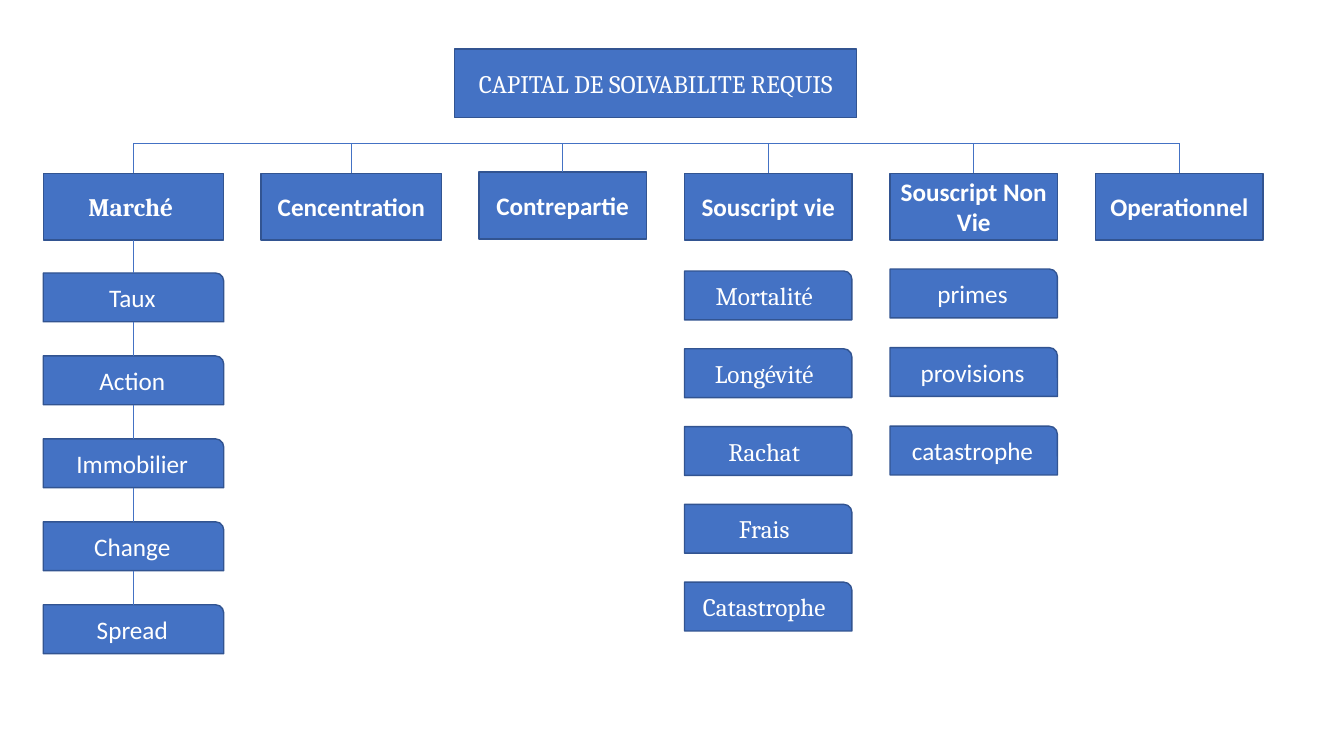
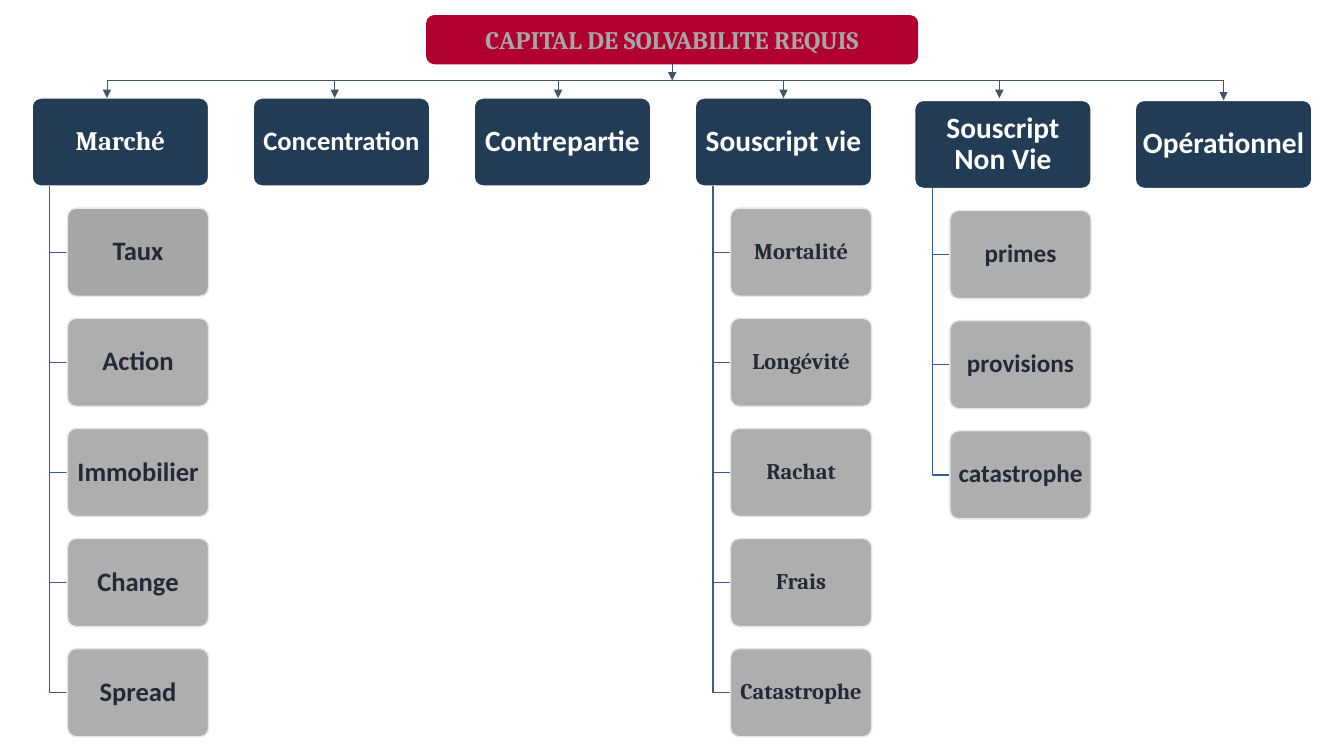
from dataclasses import dataclass

from lxml.etree import SubElement
from pptx import Presentation
from pptx.dml.color import RGBColor
from pptx.enum.shapes import MSO_CONNECTOR, MSO_SHAPE
from pptx.enum.text import MSO_ANCHOR, PP_ALIGN
from pptx.oxml.ns import qn
from pptx.util import Cm, Pt

TOP, BOTTOM = 0, 2  # connection sites


@dataclass(frozen=True)
class Theme:
    sans: str = "Calibri"
    serif: str = "Cambria"
    white: str = "FFFFFF"
    blue: str = "4472C4"
    blue_edge: str = "325491"
    navy: str = "223C55"
    red: str = "B0002F"
    grey: str = "A6A6A6"
    grey_edge: str = "E7E6E6"
    ink: str = "222A35"
    elbow: str = "365B9D"
    slate: str = "44546A"
    body: float = 18
    hair: float = 0.5
    edge: float = 1


T = Theme()
TITLE = "CAPITAL DE SOLVABILITE REQUIS"


@dataclass
class Column:
    """A risk module and its sub-risks; lengths in cm."""
    label: str
    x: float
    y: float
    items: tuple = ()
    font: str = T.sans
    size: float = T.body
    item_font: str = T.sans
    item_size: float = T.body
    w: float = 4.22
    item_y: float = 0
    pitch: float = 0
    chained: bool = False
    arrow_shift: float = 0
    solid_items: int = 0


TREE = [
    Column("Marché ", 1.09, 4.37, ("Taux", "Action", "Immobilier", "Change", "Spread"),
           font=T.serif, w=4.55, item_y=6.88, pitch=2.09, chained=True),
    Column("Cencentration", 6.58, 4.37, w=4.55),
    Column("Contrepartie", 12.07, 4.34),
    Column("Souscript vie", 17.25, 4.37,
           ("Mortalité ", "Longévité ", "Rachat ", "Frais ", "Catastrophe "),
           item_font=T.serif, item_y=6.83, pitch=1.96),
    Column("Souscript Non Vie", 22.43, 4.37, ("primes", "provisions", "catastrophe"),
           item_y=6.78, pitch=1.98),
    Column("Operationnel", 27.61, 4.37),
]

CARDS = [
    Column("Marché", 0.81, 2.47, ("Taux", "Action", "Immobilier", "Change", "Spread"),
           font=T.serif, size=19, item_size=19, arrow_shift=-0.34, solid_items=1),
    Column("Concentration", 6.38, 2.47, size=19, arrow_shift=-0.17),
    Column("Contrepartie", 11.95, 2.47, size=21, arrow_shift=-0.11),
    Column("Souscript vie", 17.52, 2.47,
           ("Mortalité", "Longévité", "Rachat", "Frais", "Catastrophe"),
           size=21, item_font=T.serif, item_size=16),
    Column("Souscript Non Vie", 23.05, 2.53, ("primes", "provisions", "catastrophe"),
           size=21, arrow_shift=-0.09),
    Column("Opérationnel", 28.61, 2.53, size=21),
]


def write(tf, text, *, font=T.sans, size=T.body, color=T.white, bold=False,
          pad=(0.25, 0.13), spacing=None):
    tf.word_wrap = True
    tf.vertical_anchor = MSO_ANCHOR.MIDDLE
    tf.margin_left = tf.margin_right = Cm(pad[0])
    tf.margin_top = tf.margin_bottom = Cm(pad[1])
    p = tf.paragraphs[0]
    p.alignment = PP_ALIGN.CENTER
    if spacing:
        p.line_spacing = spacing
    r = p.add_run()
    r.text = text
    r.font.name, r.font.size, r.font.bold = font, Pt(size), bold
    r.font.color.rgb = RGBColor.from_string(color)


def stroke(line, color, width):
    line.color.rgb = RGBColor.from_string(color)
    line.width = Pt(width)


def box(s, kind, text, x, y, w, h, *, fill, edge=None, alpha=100, radius=None, **fmt):
    """Add a filled shape with text; lengths in cm."""
    sp = s.shapes.add_shape(kind, Cm(x), Cm(y), Cm(w), Cm(h))
    sp.shadow.inherit = False
    sp.fill.solid()
    sp.fill.fore_color.rgb = RGBColor.from_string(fill)
    if alpha < 100:
        clr = sp.fill._xPr.find(qn("a:solidFill"))[0]
        SubElement(clr, qn("a:alpha"), val=str(alpha * 1000))
    if edge:
        stroke(sp.line, edge, T.edge)
    else:
        sp.line.fill.background()
    if radius:
        sp.adjustments[0] = radius
    write(sp.text_frame, text, **fmt)
    return sp


def wire(s, start, end, color, *, begin=None, finish=None, arrow=False):
    """Draw a line between points, joined to shapes begin (bottom) and finish (top)."""
    c = s.shapes.add_connector(MSO_CONNECTOR.STRAIGHT, *start, *end)
    if begin is not None:
        c.begin_connect(begin, BOTTOM)
    if finish is not None:
        c.end_connect(finish, TOP)
    stroke(c.line, color, T.hair)
    if arrow:
        SubElement(c.line._get_or_add_ln(), qn("a:tailEnd"), type="triangle")
    SubElement(c._element.spPr, qn("a:effectLst"))


def middle(sp):
    return sp.left + sp.width // 2


def link(s, upper, lower):
    wire(s, (middle(upper), upper.top + upper.height), (middle(lower), lower.top),
         T.blue, begin=upper, finish=lower)


def elbow(s, x, y, dx, dy):
    """Draw a line down by dy, then right by dx."""
    fb = s.shapes.build_freeform(Cm(x), Cm(y))
    fb.add_line_segments([(Cm(x), Cm(y + dy)), (Cm(x + dx), Cm(y + dy))], close=False)
    sp = fb.convert_to_shape()
    sp.shadow.inherit = False
    sp.fill.background()
    stroke(sp.line, T.elbow, T.edge)


def tree_column(s, col):
    """Place a header with its sub-risks below; return the header."""
    look = dict(fill=T.blue, edge=T.blue_edge)
    header = box(s, MSO_SHAPE.RECTANGLE, col.label, col.x, col.y, col.w, 1.68,
                 font=col.font, bold=True, **look)
    above = header
    for i, item in enumerate(col.items):
        sp = box(s, MSO_SHAPE.ROUND_1_RECTANGLE, item, col.x, col.item_y + i * col.pitch,
                 col.w, 1.23, font=col.item_font, **look)
        if col.chained:
            link(s, above, sp)
        above = sp
    return header


def card_column(s, col):
    """Place a card with indented sub-cards on elbows; return the card."""
    w, h, indent = 4.45, 2.22, 0.89
    pitch = 1.25 * h
    look = dict(radius=0.1, bold=True, spacing=0.9, pad=(0.1, 0.08))
    card = box(s, MSO_SHAPE.ROUNDED_RECTANGLE, col.label, col.x, col.y, w, h,
               fill=T.navy, edge=T.white, font=col.font, size=col.size, **look)
    for i, item in enumerate(col.items):
        y = col.y + (i + 1) * pitch
        elbow(s, col.x + indent / 2, col.y + h, indent / 2, y - col.y - h / 2)
        box(s, MSO_SHAPE.ROUNDED_RECTANGLE, item, col.x + indent, y, w - indent, h,
            fill=T.grey, edge=T.grey_edge, alpha=100 if i < col.solid_items else 90,
            font=col.item_font, size=col.item_size, color=T.ink, **look)
    return card


def tree_slide(s):
    bus = Cm(3.61)
    box(s, MSO_SHAPE.RECTANGLE, TITLE, 11.46, 1.24, 10.13, 1.73,
        fill=T.blue, edge=T.blue_edge, font=T.serif)
    headers = [tree_column(s, col) for col in TREE]
    wire(s, (middle(headers[0]), bus), (middle(headers[-1]), bus), T.blue)
    for header in headers:
        x = middle(header)
        wire(s, (x, bus), (x, header.top), T.blue, finish=header)


def card_slide(s):
    bus, tip = Cm(2.03), Cm(2.47)
    cards = [card_column(s, col) for col in CARDS]
    title = box(s, MSO_SHAPE.ROUNDED_RECTANGLE, TITLE, 10.74, 0.38, 12.4, 1.24,
                fill=T.red, font=T.serif, color=T.grey, bold=True)
    xs = [middle(card) + Cm(col.arrow_shift) for card, col in zip(cards, CARDS)]
    wire(s, (xs[0], bus), (xs[-1], bus), T.slate)
    for x, card, col in zip(xs, cards, CARDS):
        wire(s, (x, bus), (x, tip), T.slate, arrow=True,
             finish=None if col.arrow_shift else card)
    x = middle(title)
    wire(s, (x, title.top + title.height), (x, bus), T.slate, begin=title, arrow=True)


def main():
    prs = Presentation()
    prs.slide_width, prs.slide_height = Cm(33.87), Cm(19.05)
    for build in (tree_slide, card_slide):
        build(prs.slides.add_slide(prs.slide_layouts[6]))
    prs.save("out.pptx")


if __name__ == "__main__":
    main()
